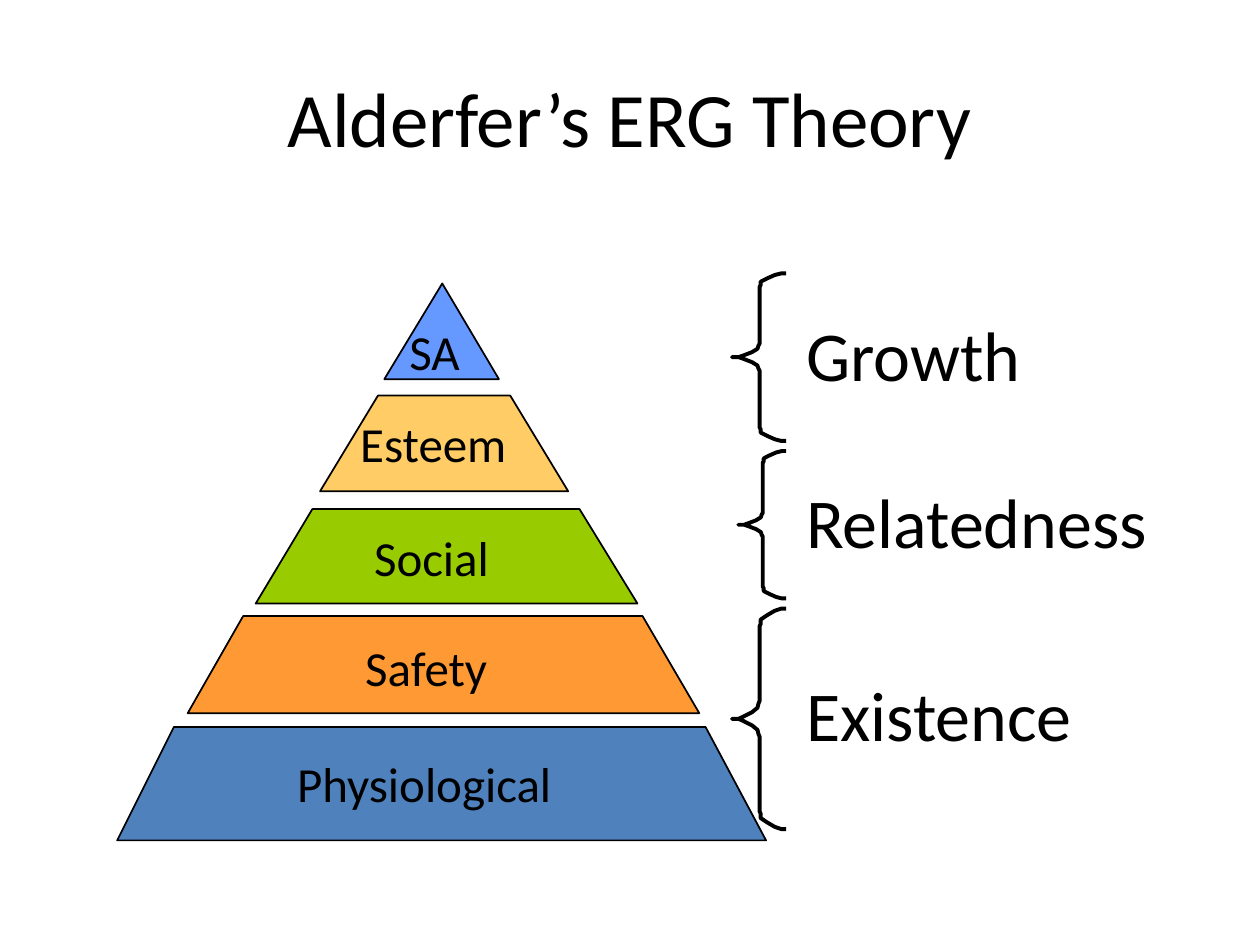
"""Build a slide relating the needs pyramid to Alderfer's ERG theory."""
from typing import NamedTuple

from pptx import Presentation
from pptx.dml.color import RGBColor
from pptx.enum.text import MSO_ANCHOR, MSO_AUTO_SIZE, PP_ALIGN
from pptx.util import Inches, Pt

BLACK = RGBColor(0x00, 0x00, 0x00)
BLUE = RGBColor(0x4F, 0x81, 0xBD)
ORANGE = RGBColor(0xFF, 0x99, 0x33)
GREEN = RGBColor(0x99, 0xCC, 0x00)
YELLOW = RGBColor(0xFF, 0xCC, 0x66)
LIGHT_BLUE = RGBColor(0x66, 0x99, 0xFF)
FONT = "Calibri"


class Label(NamedTuple):
    text: str
    left: float
    top: float
    width: float
    height: float
    size: int


class Tier(NamedTuple):
    top: float
    bottom: float
    top_left: float
    top_right: float
    bottom_left: float
    bottom_right: float
    color: RGBColor
    label: Label


class Need(NamedTuple):
    brace_left: float
    brace_top: float
    brace_width: float
    brace_height: float
    label: Label


TITLE = Label("Alderfer’s ERG Theory", 0.5, 0.3, 9, 1.25, 44)

TIERS = [
    Tier(5.77, 6.67, 1.38, 5.6, 0.93, 6.08, BLUE,
         Label("Physiological", 2.26, 5.93, 2.47, 0.56, 28)),
    Tier(4.89, 5.66, 1.93, 5.1, 1.49, 5.55, ORANGE,
         Label("Safety", 2.8, 5.01, 1.2, 0.57, 28)),
    Tier(4.04, 4.79, 2.48, 4.6, 2.03, 5.06, GREEN,
         Label("Social", 2.87, 4.14, 1.12, 0.57, 28)),
    Tier(3.14, 3.9, 3, 4.05, 2.54, 4.51, YELLOW,
         Label("Esteem", 2.76, 3.23, 1.52, 0.56, 28)),
    Tier(2.25, 3.01, 3.51, 3.51, 3.05, 3.96, LIGHT_BLUE,
         Label("SA", 3.15, 2.5, 0.72, 0.56, 28)),
]

NEEDS = [
    Need(5.81, 4.83, 0.43, 1.75, Label("Existence", 6.3, 5.28, 2.61, 0.76, 40)),
    Need(5.86, 3.58, 0.38, 1.17, Label("Relatedness", 6.3, 3.75, 3.29, 0.76, 40)),
    Need(5.81, 2.17, 0.43, 1.33, Label("Growth", 6.3, 2.42, 1.99, 0.76, 40)),
]

UPPER_BRACE = [
    (1, 0), (0.91, 0), (0.79, 0.01), (0.65, 0.03), (0.53, 0.05), (0.53, 0.07),
    (0.51, 0.08), (0.51, 0.42), (0.49, 0.43), (0.47, 0.45), (0.37, 0.47),
    (0.21, 0.49), (0.12, 0.5), (0, 0.5),
]
BRACE = UPPER_BRACE + [(x, 1 - y) for x, y in reversed(UPPER_BRACE[:-1])]


def add_label(shapes, label: Label):
    """Add a text box that fits its single line and return its text frame."""
    box = shapes.add_textbox(Inches(label.left), Inches(label.top),
                             Inches(label.width), Inches(label.height))
    frame = box.text_frame
    frame.word_wrap = False
    frame.auto_size = MSO_AUTO_SIZE.SHAPE_TO_FIT_TEXT
    run = frame.paragraphs[0].add_run()
    run.text = label.text
    run.font.name = FONT
    run.font.size = Pt(label.size)
    run.font.color.rgb = BLACK
    return frame


def add_outline(shapes, points: list[tuple[float, float]], line_width: float,
                closed: bool):
    """Add a black-lined freeform through points given in inches."""
    start, *rest = [(Inches(x), Inches(y)) for x, y in points]
    builder = shapes.build_freeform(*start)
    builder.add_line_segments(rest, close=closed)
    shape = builder.convert_to_shape()
    shape.shadow.inherit = False
    shape.line.color.rgb = BLACK
    shape.line.width = Pt(line_width)
    return shape


def add_tier(shapes, tier: Tier) -> None:
    """Add one level of the pyramid with its label."""
    corners = [(tier.top_left, tier.top), (tier.top_right, tier.top),
               (tier.bottom_right, tier.bottom), (tier.bottom_left, tier.bottom)]
    shape = add_outline(shapes, list(dict.fromkeys(corners)), 1, True)
    shape.fill.solid()
    shape.fill.fore_color.rgb = tier.color
    add_label(shapes, tier.label)


def add_brace(shapes, need: Need) -> None:
    """Add the curly brace that opens towards a need."""
    points = [(need.brace_left + x * need.brace_width,
               need.brace_top + y * need.brace_height) for x, y in BRACE]
    add_outline(shapes, points, 2.25, False).fill.background()


def add_title(shapes) -> None:
    """Add the centred slide title."""
    frame = add_label(shapes, TITLE)
    frame.auto_size = MSO_AUTO_SIZE.NONE
    frame.word_wrap = True
    frame.vertical_anchor = MSO_ANCHOR.MIDDLE
    frame.paragraphs[0].alignment = PP_ALIGN.CENTER


def main() -> None:
    """Build and save the presentation."""
    presentation = Presentation()
    presentation.slide_width = Inches(10)
    presentation.slide_height = Inches(7.5)
    slide = presentation.slides.add_slide(presentation.slide_layouts[6])
    add_title(slide.shapes)
    pyramid = slide.shapes.add_group_shape()
    for tier in TIERS:
        add_tier(pyramid.shapes, tier)
    for need in NEEDS:
        add_label(slide.shapes, need.label)
    for need in reversed(NEEDS):
        add_brace(slide.shapes, need)
    presentation.save("out.pptx")


if __name__ == "__main__":
    main()
